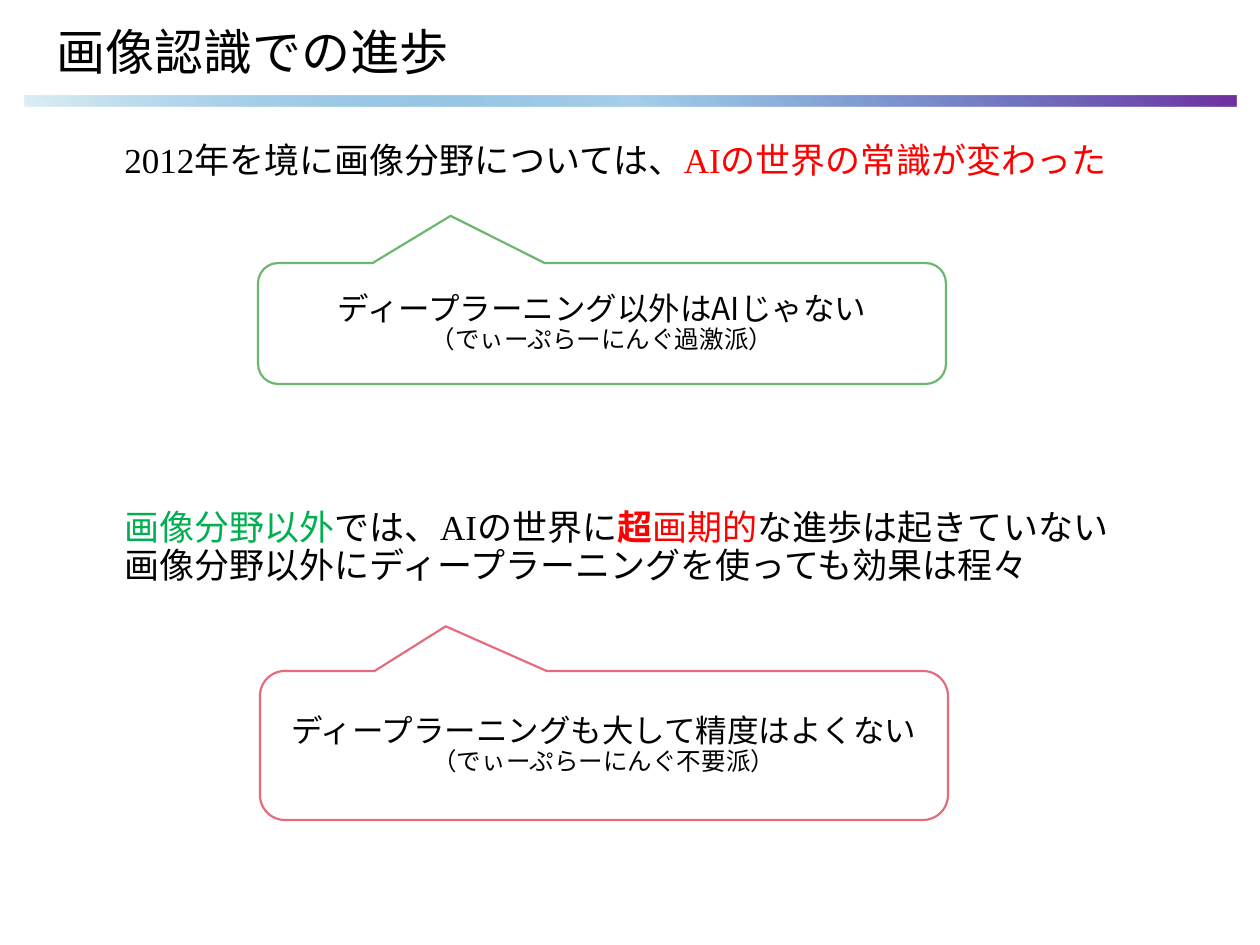
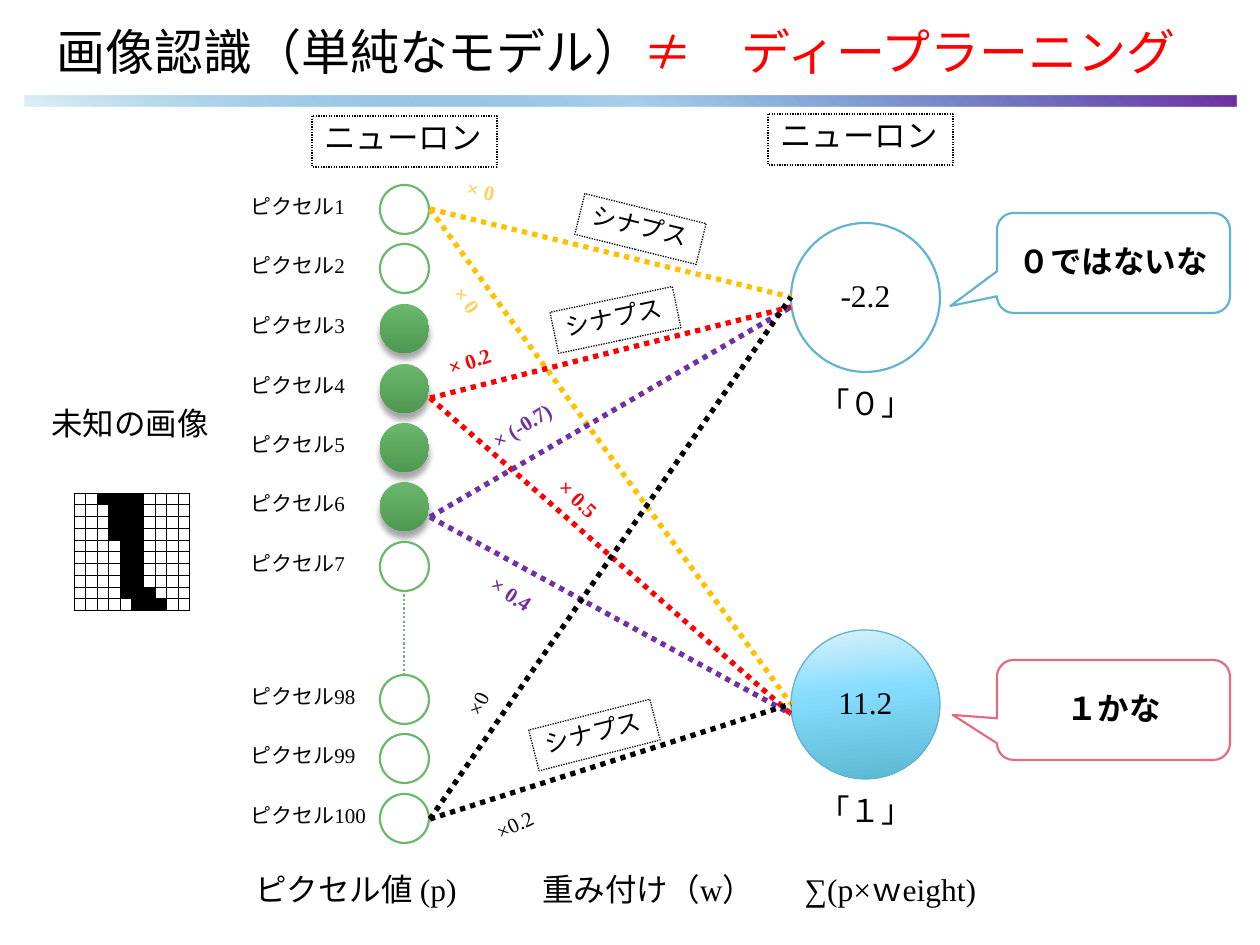
from lxml.etree import SubElement
from pptx import Presentation
from pptx.dml.color import RGBColor
from pptx.enum.dml import MSO_LINE
from pptx.enum.shapes import MSO_CONNECTOR, MSO_SHAPE
from pptx.enum.text import MSO_ANCHOR, MSO_AUTO_SIZE, PP_ALIGN
from pptx.oxml import parse_xml
from pptx.oxml.ns import nsdecls, qn
from pptx.util import Emu, Pt

SERIF = "Times New Roman"
SANS = "Noto Sans CJK JP"
BLACK, WHITE, RED = "000000", "FFFFFF", "FF0000"
GREEN, BLUE, PINK = "6BB76D", "60B5CC", "E66C7D"
LIME, PURPLE, AMBER, PALE_AMBER = "00B050", "7030A0", "FFC000", "FFD25D"
BAND_STOPS = [(0, "DFF0F5", 100), (50, "0070C0", 34), (100, PURPLE, 100)]
ACTIVE_PIXEL_STOPS = [(0, GREEN, 100), (100, "4F9851", 100)]
ACTIVE_NEURON_STOPS = [(0, "DDF1F9", 100), (40, "87DDFF", 100), (100, "5BB8D1", 100)]
PX_PER_INCH = 126


def emu(px):
    return Emu(round(px * 914400 / PX_PER_INCH))


def color(hex_string):
    return RGBColor.from_string(hex_string)


class Deck:
    """Holds the style and the slide being built; lengths are in px."""

    def __init__(self):
        self.presentation = Presentation()
        self.presentation.slide_width = emu(1260)
        self.presentation.slide_height = emu(945)
        self.slide = None

    def new_slide(self, title_runs):
        layout = self.presentation.slide_layouts[5]
        self.slide = self.presentation.slides.add_slide(layout)
        band = self.shape(MSO_SHAPE.RECTANGLE, (25, 96, 1211, 10))
        self.gradient(band, BAND_STOPS, 315)
        title = self.slide.shapes.title
        title.left, title.top, title.width, title.height = map(emu, (44, 16, 1153, 77))
        self.set_lines(title, [title_runs], 28, anchor=MSO_ANCHOR.MIDDLE)

    def set_lines(self, shape, lines, size, font=SERIF, align=PP_ALIGN.LEFT,
                  anchor=MSO_ANCHOR.TOP):
        """Fill a shape; each line is a list of (text, colour, bold) runs.

        size is one number, or a list with one number for each line.
        """
        sizes = size if isinstance(size, list) else [size] * len(lines)
        frame = shape.text_frame
        frame.word_wrap = True
        frame.auto_size = MSO_AUTO_SIZE.NONE
        frame.vertical_anchor = anchor
        for index, (runs, points) in enumerate(zip(lines, sizes)):
            paragraph = frame.add_paragraph() if index else frame.paragraphs[0]
            paragraph.alignment = align
            paragraph.line_spacing = 0.9
            for text, run_color, bold in runs:
                run = paragraph.add_run()
                run.text = text
                run.font.size = Pt(points)
                run.font.bold = bold
                run.font.name = font
                run.font.color.rgb = color(run_color)
                east_asian = SubElement(run._r.get_or_add_rPr(), qn("a:ea"))
                east_asian.set("typeface", SANS)

    def text(self, box, lines, size, rotation=0, align=PP_ALIGN.LEFT):
        shape = self.slide.shapes.add_textbox(*map(emu, box))
        shape.rotation = rotation
        self.set_lines(shape, lines, size, align=align)

    def label(self, box, text, size, text_color=BLACK, bold=False, rotation=0,
              align=PP_ALIGN.LEFT):
        self.text(box, [[(text, text_color, bold)]], size, rotation, align)

    def shape(self, kind, box, fill=None, line=None, width=1.25):
        shape = self.slide.shapes.add_shape(kind, *map(emu, box))
        shape.shadow.inherit = False
        if fill:
            shape.fill.solid()
            shape.fill.fore_color.rgb = color(fill)
        else:
            shape.fill.background()
        if line:
            shape.line.color.rgb = color(line)
            shape.line.width = Pt(width)
        else:
            shape.line.fill.background()
        return shape

    def gradient(self, shape, stops, angle):
        stop_xml = "".join(
            f'<a:gs pos="{position * 1000}"><a:srgbClr val="{stop_color}">'
            f'<a:alpha val="{alpha * 1000}"/></a:srgbClr></a:gs>'
            for position, stop_color, alpha in stops)
        shape.fill.gradient()
        properties = shape._element.spPr
        properties.replace(properties.find(qn("a:gradFill")), parse_xml(
            f'<a:gradFill {nsdecls("a")} rotWithShape="1"><a:gsLst>{stop_xml}</a:gsLst>'
            f'<a:lin ang="{angle * 60000}" scaled="0"/></a:gradFill>'))

    def drop_shadow(self, shape):
        effects = shape._element.spPr.find(qn("a:effectLst"))
        effects.append(parse_xml(
            f'<a:outerShdw {nsdecls("a")} blurRad="44450" dist="50800" dir="5400000" '
            'rotWithShape="0"><a:srgbClr val="000000"><a:alpha val="34000"/>'
            '</a:srgbClr></a:outerShdw>'))

    def callout(self, box, tip, line, lines, size, font=SERIF):
        shape = self.shape(MSO_SHAPE.ROUNDED_RECTANGULAR_CALLOUT, box, WHITE, line)
        for index, value in enumerate((*tip, 0.167)):
            shape.adjustments[index] = value
        self.set_lines(shape, lines, size, font, PP_ALIGN.CENTER, MSO_ANCHOR.MIDDLE)

    def dotted_box(self, box, text, size, rotation=0):
        shape = self.shape(MSO_SHAPE.RECTANGLE, box, line=BLACK, width=0.75)
        shape.line.dash_style = MSO_LINE.ROUND_DOT
        shape.rotation = rotation
        self.set_lines(shape, [[(text, BLACK, False)]], size)

    def dotted_line(self, start, end, line, width):
        connector = self.slide.shapes.add_connector(
            MSO_CONNECTOR.STRAIGHT, *map(emu, (*start, *end)))
        connector.line.color.rgb = color(line)
        connector.line.width = Pt(width)
        connector.line.dash_style = MSO_LINE.ROUND_DOT
        SubElement(connector._element.spPr, qn("a:effectLst"))

    def bitmap(self, box, black_spans, columns):
        """Draw a table of squares; each row's span is (first, last) black column."""
        frame = self.slide.shapes.add_table(len(black_spans), columns, *map(emu, box))
        table = frame.table
        table.first_row = table.horz_banding = False
        for column in table.columns:
            column.width = emu(box[2] / columns)
        for row, (first, last) in zip(table.rows, black_spans):
            row.height = emu(box[3] / len(black_spans))
            for index, cell in enumerate(row.cells):
                self.square(cell, BLACK if first <= index <= last else WHITE)

    def square(self, cell, fill):
        cell.margin_left = cell.margin_right = cell.margin_top = cell.margin_bottom = 0
        cell.fill.solid()
        cell.fill.fore_color.rgb = color(fill)
        end = SubElement(cell.text_frame.paragraphs[0]._p, qn("a:endParaRPr"))
        end.set("sz", "100")
        properties = cell._tc.get_or_add_tcPr()
        for index, side in enumerate("LRTB"):
            properties.insert(index, parse_xml(
                f'<a:ln{side} {nsdecls("a")} w="6350"><a:solidFill>'
                f'<a:srgbClr val="{BLACK}"/></a:solidFill></a:ln{side}>'))


def build_progress_slide(deck):
    deck.new_slide([("画像認識での進歩", BLACK, False)])
    deck.text((112, 137, 1053, 55), [[
        ("2012年を境に画像分野については、", BLACK, False),
        ("AIの世界の常識が変わった", RED, False)]], 20)
    deck.text((112, 504, 1054, 97), [
        [("画像分野以外", LIME, False), ("では、AIの世界に", BLACK, False),
         ("超", RED, True), ("画期的", RED, False),
         ("な進歩は起きていない", BLACK, False)],
        [("画像分野以外にディープラーニングを使っても効果は程々", BLACK, False)]], 20)
    opinions = [
        ((258, 263, 688, 121), (-0.22, -0.89), GREEN,
         "ディープラーニング以外はAIじゃない", "（でぃーぷらーにんぐ過激派）"),
        ((260, 671, 688, 149), (-0.23, -0.8), PINK,
         "ディープラーニングも大して精度はよくない", "（でぃーぷらーにんぐ不要派）")]
    for box, tip, line, opinion, holder in opinions:
        lines = [[(opinion, BLACK, False)], [(holder, BLACK, False)]]
        deck.callout(box, tip, line, lines, [18, 14], SANS)


def build_pixel_column(deck):
    pixel_groups = [(185, range(1, 8)), (675, range(98, 101))]
    label_widths = {1: 122, 2: 134, 3: 146}
    for group_top, numbers in pixel_groups:
        for index, number in enumerate(numbers):
            top = round(group_top + 59.5 * index)
            active = 3 <= number <= 6
            pixel = deck.shape(MSO_SHAPE.OVAL, (380, top, 49, 49), WHITE,
                               None if active else GREEN)
            if active:
                deck.gradient(pixel, ACTIVE_PIXEL_STOPS, 90)
                deck.drop_shadow(pixel)
            width = label_widths[len(str(number))]
            deck.label((238, top + 5, width, 38), f"ピクセル{number}", 12)
    deck.dotted_line((404, 590), (404, 675), GREEN, 1.25)


def build_output_neurons(deck):
    outputs = [
        (223, "-2.2", "「０」", None, 1.25, (997, 213, 233, 100),
         (-0.7, 0.43), BLUE, "０ではないな"),
        (630, "11.2", "「１」", ACTIVE_NEURON_STOPS, 0.75, (997, 660, 233, 100),
         (-0.69, 0.05), PINK, "１かな")]
    for top, total, digit, stops, width, box, tip, line, verdict in outputs:
        neuron = deck.shape(MSO_SHAPE.OVAL, (791, top, 149, 149), WHITE, BLUE, width)
        if stops:
            deck.gradient(neuron, stops, 84)
        deck.set_lines(neuron, [[(total, BLACK, False)]], 18,
                       align=PP_ALIGN.CENTER, anchor=MSO_ANCHOR.MIDDLE)
        deck.label((806, top + 159, 121, 50), digit, 18)
        deck.callout(box, tip, line, [[(verdict, BLACK, True)]], 18)


def build_synapses(deck):
    synapses = [(209, AMBER, (297, 704)), (398, RED, (307, 714)),
                (517, PURPLE, (307, 714)), (819, BLACK, (297, 704))]
    for start, line, ends in synapses:
        for end in ends:
            deck.dotted_line((430, start), (791, end), line, 3)
    weights = [
        (455, 683, 54, 296.8, "×0", BLACK), (484, 806, 72, 334.1, "×0.2", BLACK),
        (478, 406, 100, 328.2, "× (-0.7)", PURPLE), (475, 580, 78, 33.7, "× 0.4", PURPLE),
        (454, 175, 60, 11.5, "× 0", PALE_AMBER), (437, 286, 60, 52.5, "× 0", PALE_AMBER),
        (436, 343, 78, 341.1, "× 0.2", RED), (541, 485, 78, 43.5, "× 0.5", RED)]
    for left, top, width, rotation, weight, text_color in weights:
        deck.label((left, top, width, 38), weight, 12, text_color,
                   text_color != BLACK, rotation)


def build_model_slide(deck):
    deck.new_slide([("画像認識（単純なモデル）", BLACK, False),
                    ("≠　ディープラーニング", RED, False)])
    build_pixel_column(deck)
    build_output_neurons(deck)
    build_synapses(deck)
    deck.label((784, 868, 213, 50), "∑(p×ｗeight)", 18, align=PP_ALIGN.CENTER)
    deck.label((243, 868, 282, 50), "ピクセル値 (p)", 18)
    deck.label((530, 868, 239, 50), "重み付け（w）", 18)
    deck.label((39, 402, 185, 50), "未知の画像", 18)
    black_spans = [(2, 5)] + [(3, 5)] * 3 + [(4, 5)] * 4 + [(4, 6), (5, 7)]
    deck.bitmap((74, 493, 116, 118), black_spans, 10)
    for left, top in [(312, 116), (768, 114)]:
        deck.dotted_box((left, top, 185, 51), "ニューロン", 18)
    for left, top, rotation in [(578, 208, 13.9), (532, 714, 345.7), (553, 299, 348.1)]:
        deck.dotted_box((left, top, 125, 42), "シナプス", 14, rotation)


def main():
    deck = Deck()
    build_progress_slide(deck)
    build_model_slide(deck)
    deck.presentation.save("out.pptx")


if __name__ == "__main__":
    main()
